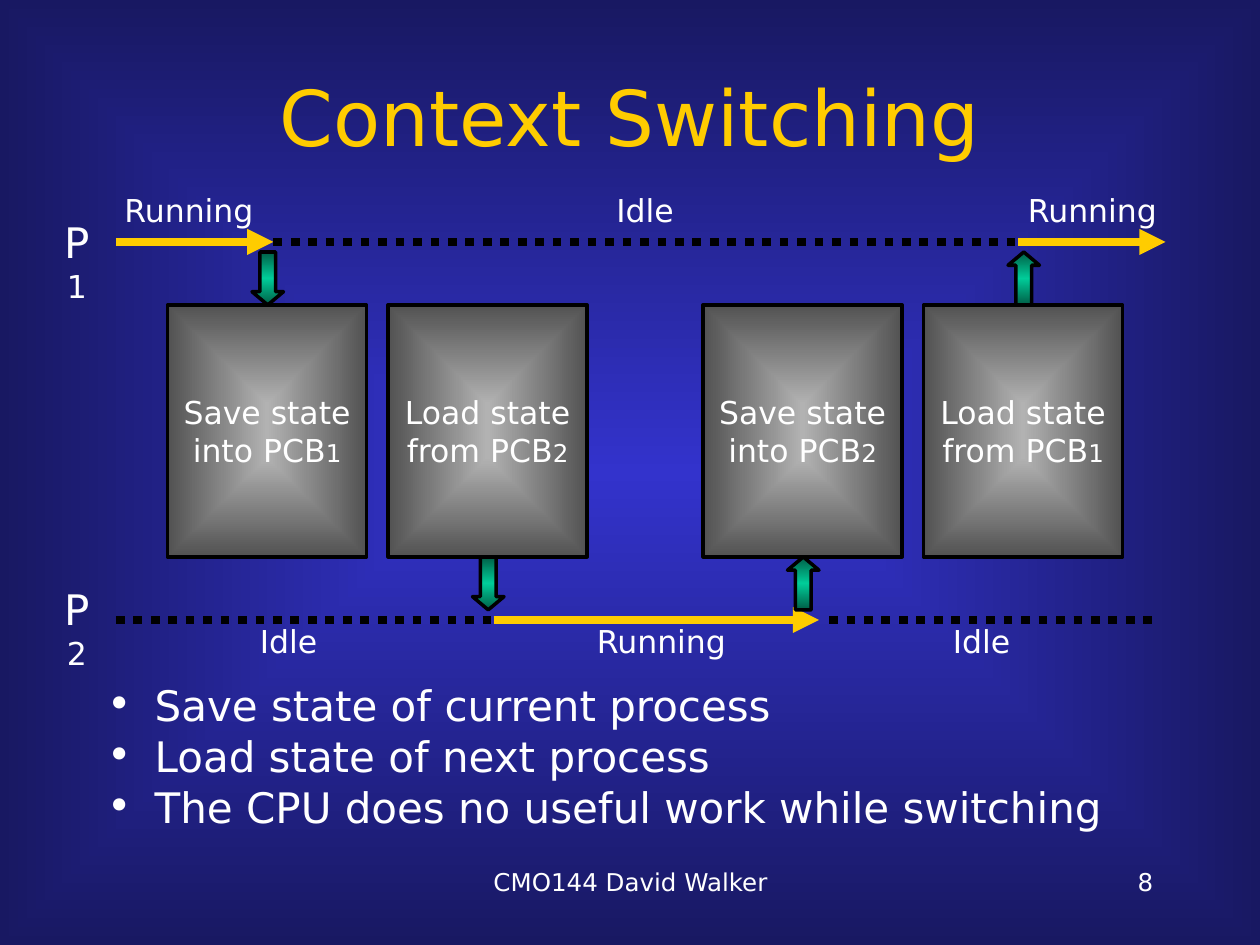
import pptx
import pptx.dml.color
import pptx.enum.dml
import pptx.enum.shapes
import pptx.enum.text
import pptx.oxml
import pptx.oxml.ns
import pptx.util

Inches = pptx.util.Inches
Pt = pptx.util.Pt
RGB = pptx.dml.color.RGBColor
Align = pptx.enum.text.PP_ALIGN
Anchor = pptx.enum.text.MSO_ANCHOR
Shape = pptx.enum.shapes.MSO_SHAPE

FONT = "DejaVu Sans"
GOLD = RGB(0xFF, 0xCC, 0x00)
WHITE = RGB(0xFF, 0xFF, 0xFF)
BLACK = RGB(0, 0, 0)
BLUE = RGB(0x33, 0x33, 0xCC)
NAVY = RGB(0x18, 0x18, 0x62)
SILVER = RGB(0xB2, 0xB2, 0xB2)
GRAY = RGB(0x52, 0x52, 0x52)
GREEN = RGB(0x00, 0xCC, 0x99)
PINE = RGB(0x00, 0x5E, 0x46)

NS = pptx.oxml.ns.nsdecls("a")
CENTRE = ('<a:path path="rect"><a:fillToRect l="50000" t="50000" '
          'r="50000" b="50000"/></a:path>')
UPRIGHT = '<a:lin ang="5400000" scaled="0"/>'


def xml(tag, body=""):
    name = tag.split()[0]
    return pptx.oxml.parse_xml(f"<a:{tag} {NS}>{body}</a:{name}>")


def blend(owner, fill, hues, shade):
    fill.gradient()
    last = len(hues) - 1
    stops = "".join(
        f'<a:gs pos="{100000 * i // last}"><a:srgbClr val="{hue}"/></a:gs>'
        for i, hue in enumerate(hues))
    grad = owner.xpath(".//a:gradFill")[0]
    new = xml('gradFill rotWithShape="1"', f"<a:gsLst>{stops}</a:gsLst>{shade}")
    grad.getparent().replace(grad, new)


def style(para, size, color=WHITE, align=Align.CENTER):
    para.alignment = align
    font = para.font
    font.name, font.size, font.color.rgb = FONT, Pt(size), color


def text(slide, box, words, size, color=WHITE, align=Align.CENTER,
         anchor=Anchor.MIDDLE):
    frame = slide.shapes.add_textbox(*map(Inches, box)).text_frame
    frame.word_wrap = True
    frame.vertical_anchor = anchor
    para = frame.paragraphs[0]
    para.text = words
    style(para, size, color, align)
    return para


def block(slide, kind, box, hues, shade):
    shape = slide.shapes.add_shape(kind, *map(Inches, box))
    shape.shadow.inherit = False
    blend(shape._element, shape.fill, hues, shade)
    shape.line.color.rgb = BLACK
    shape.line.width = Pt(2)
    return shape


def line(slide, start, end, y, busy):
    link = slide.shapes.add_connector(
        pptx.enum.shapes.MSO_CONNECTOR.STRAIGHT,
        Inches(start), Inches(y), Inches(end), Inches(y))
    link.line.width = Pt(5)
    link.line.color.rgb = GOLD if busy else BLACK
    props = link._element.spPr
    if busy:
        props.find(pptx.oxml.ns.qn("a:ln")).append(xml('tailEnd type="triangle"'))
    else:
        link.line.dash_style = pptx.enum.dml.MSO_LINE.ROUND_DOT
    props.append(xml("effectLst"))


def lane(slide, box, number, tag, level, caption, parts):
    left, top, _, _ = box
    para = text(slide, (left - 0.58, top + tag, 0.54, 0.5), "P", 24,
                anchor=Anchor.TOP)
    digit = para.add_run()
    digit.text = number
    digit.font.size = Pt(18)
    for start, end, middle, busy in parts:
        line(slide, left + start, left + end, top + level, busy)
        text(slide, (left + middle - 0.7, top + caption, 1.4, 0.33),
             "Running" if busy else "Idle", 18)


def arrow(slide, x, y, up):
    shape = block(slide, Shape.DOWN_ARROW, (x, y, 0.25, 0.42),
                  (PINE, GREEN, PINE), UPRIGHT)
    shape.adjustments[0] = 0.5
    shape.adjustments[1] = 0.42
    shape.rotation = 180 if up else 0


def card(slide, box, verb, link, number):
    shape = block(slide, Shape.RECTANGLE, box, (SILVER, GRAY), CENTRE)
    frame = shape.text_frame
    frame.word_wrap = False
    frame.vertical_anchor = Anchor.MIDDLE
    first, second = frame.paragraphs[0], frame.add_paragraph()
    first.text = f"{verb} state"
    second.text = f"{link} PCB"
    digit = second.add_run()
    digit.text = number
    digit.font.size = Pt(14)
    for para in (first, second):
        style(para, 18)


def diagram(slide, box):
    left, top, _, _ = box
    lane(slide, box, "1", 0.17, 0.42, 0, (
        (0, 1.25, 0.58, True),
        (1.25, 7.16, 4.2, False),
        (7.16, 8.33, 7.75, True)))
    lane(slide, box, "2", 3.08, 3.42, 3.42, (
        (0, 3, 1.37, False),
        (3, 5.58, 4.33, True),
        (5.66, 8.25, 6.87, False)))
    for x, y, up in ((1.08, 0.5, False), (2.83, 2.92, False),
                     (5.33, 2.92, True), (7.08, 0.5, True)):
        arrow(slide, left + x, top + y, up)
    for start, old, new in ((0.41, "1", "2"), (4.66, "2", "1")):
        steps = (("Save", "into", old), ("Load", "from", new))
        for i, step in enumerate(steps):
            card(slide, (left + start + 1.75 * i, top + 0.92, 1.58, 2), *step)


def bullets(slide, box, items):
    frame = slide.shapes.add_textbox(*map(Inches, box)).text_frame
    frame.word_wrap = True
    for i, item in enumerate(items):
        para = frame.add_paragraph() if i else frame.paragraphs[0]
        para.text = item
        para.line_spacing = 0.8
        if i:
            para.space_before = Pt(6)
        props = para._p.get_or_add_pPr()
        props.set("marL", str(Inches(0.38)))
        props.set("indent", str(-Inches(0.38)))
        props.append(xml("buClr", f'<a:srgbClr val="{WHITE}"/>'))
        props.append(xml(f'buFont typeface="{FONT}"'))
        props.append(xml('buChar char="•"'))
        style(para, 24, align=Align.LEFT)


def footer(slide, box):
    left, top, width, height = box
    text(slide, (left, top, 3.17, height), "CMO144 David Walker", 14,
         anchor=Anchor.TOP)
    text(slide, (left + width - 2.08, top, 2.08, height), "8", 14,
         align=Align.RIGHT, anchor=Anchor.TOP)


def main():
    deck = pptx.Presentation()
    deck.slide_width, deck.slide_height = Inches(10), Inches(7.5)
    slide = deck.slides.add_slide(deck.slide_layouts[6])
    blend(slide._element, slide.background.fill, (BLUE, NAVY), CENTRE)
    text(slide, (0.75, 0.33, 8.5, 1.17), "Context Switching", 44, GOLD)
    bullets(slide, (0.75, 5.42, 8.5, 1.25), (
        "Save state of current process",
        "Load state of next process",
        "The CPU does no useful work while switching"))
    diagram(slide, (0.92, 1.5, 8.33, 3.75))
    footer(slide, (3.42, 6.83, 5.83, 0.5))
    deck.save("out.pptx")


if __name__ == "__main__":
    main()
